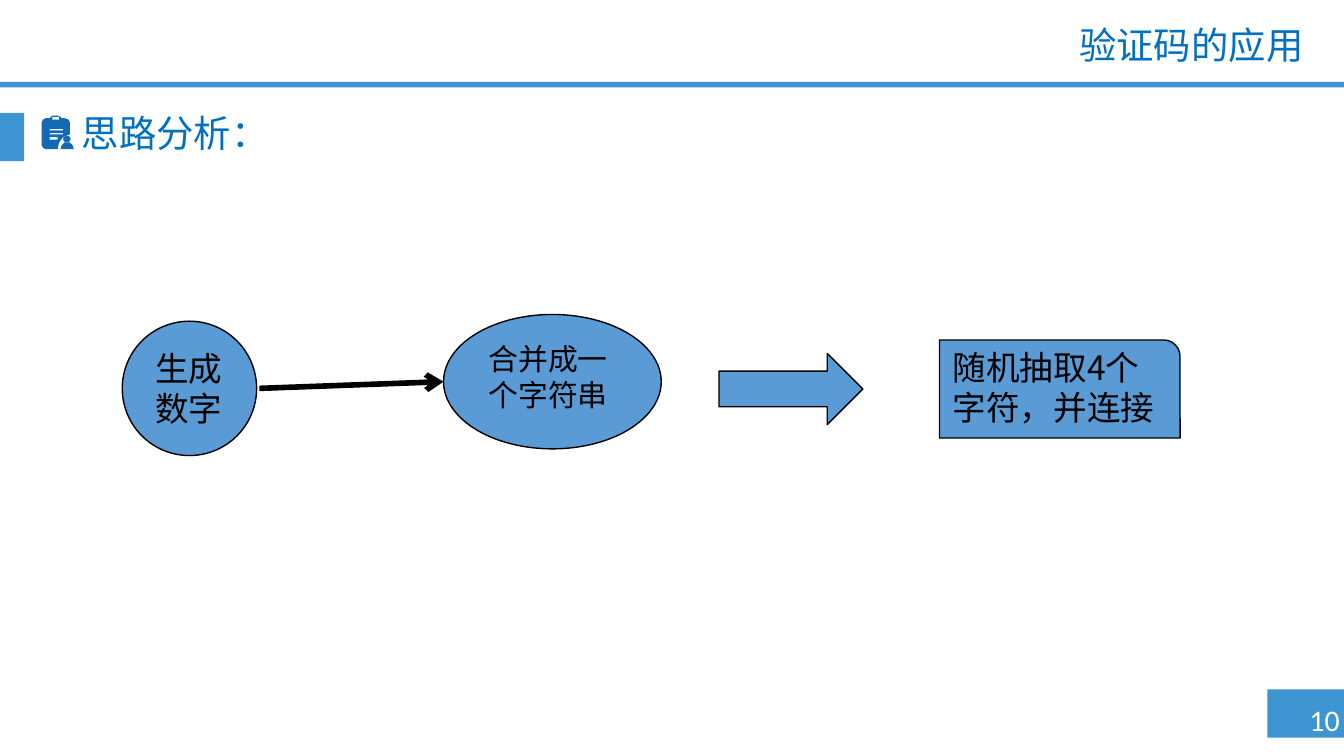
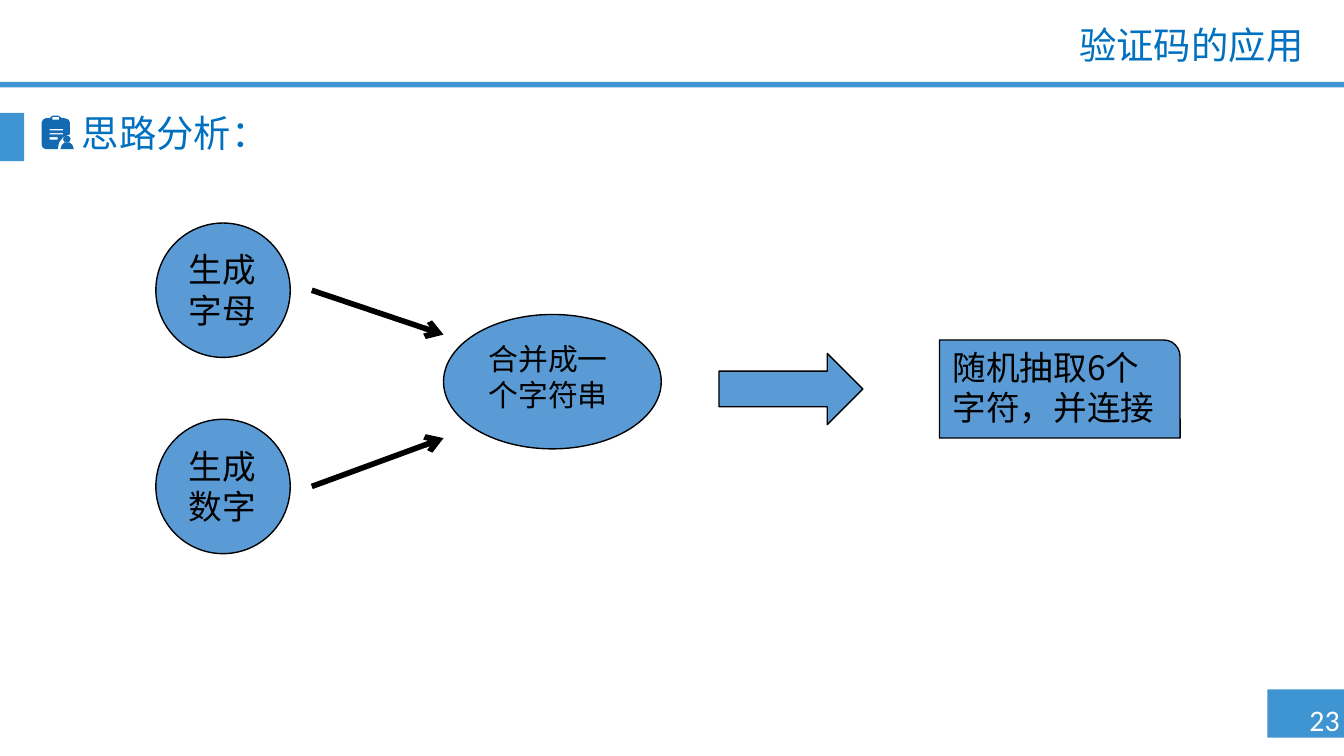
from lxml import etree
from pptx import Presentation
from pptx.dml.color import RGBColor
from pptx.enum.shapes import MSO_CONNECTOR, MSO_SHAPE
from pptx.enum.text import MSO_ANCHOR, MSO_AUTO_SIZE, PP_ALIGN
from pptx.oxml.ns import qn
from pptx.util import Inches, Pt

RECTANGLE = MSO_SHAPE.RECTANGLE
OVAL = MSO_SHAPE.OVAL
ROUND_CORNER = MSO_SHAPE.ROUND_1_RECTANGLE
RIGHT_ARROW = MSO_SHAPE.RIGHT_ARROW
STRAIGHT = MSO_CONNECTOR.STRAIGHT
LEFT, CENTER, RIGHT = PP_ALIGN.LEFT, PP_ALIGN.CENTER, PP_ALIGN.RIGHT
TOP, MIDDLE = MSO_ANCHOR.TOP, MSO_ANCHOR.MIDDLE
GROW = MSO_AUTO_SIZE.SHAPE_TO_FIT_TEXT

BAND_BLUE = RGBColor(0x3F, 0x95, 0xD2)
STEP_BLUE = RGBColor(0x5B, 0x9B, 0xD5)
TITLE_BLUE = RGBColor(0x00, 0x70, 0xC0)
ICON_BLUE = RGBColor(0x13, 0x6A, 0xB3)
BLACK = RGBColor(0x00, 0x00, 0x00)
WHITE = RGBColor(0xFF, 0xFF, 0xFF)

CJK_FONT = "Noto Sans CJK SC"
NUMBER_FONT = "Calibri"

WIDTH, HEIGHT = Inches(10), Inches(5.625)
COLUMN, ROW = WIDTH / 100, HEIGHT / 56.25

TITLE = "验证码的应用"
HEADING = "思路分析："
CIRCLE_SIZE = 10

CLIPBOARD = [(52, 100), (52, 91), (51, 89), (48, 88), (46, 88), (45, 87),
             (43, 86), (39, 86), (38, 87), (37, 88), (34, 88), (32, 89),
             (31, 91), (31, 108), (32, 110), (34, 111), (43, 111),
             (44, 106), (47, 102)]
CLIPBOARD_HOLES = [(39, 87, 44, 89), (37, 96, 47, 97),
                   (37, 99, 47, 100), (37, 102, 43, 104)]
SHOULDERS = [(45, 111), (46, 108), (48, 106), (50, 106),
             (52, 106), (54, 108), (55, 111)]


def place(left, top, width, height):
    return [round(length) for length in
            (left * COLUMN, top * ROW, width * COLUMN, height * ROW)]


def paint(shape, color, outlined=False):
    shape.shadow.inherit = False
    shape.fill.solid()
    shape.fill.fore_color.rgb = color
    if outlined:
        shape.line.color.rgb = BLACK
        shape.line.width = Pt(0.75)
    else:
        shape.line.fill.background()


def write(shape, text, size, color, align=LEFT, anchor=TOP, font_name=CJK_FONT):
    frame = shape.text_frame
    frame.vertical_anchor = anchor
    paragraph = frame.paragraphs[0]
    paragraph.alignment = align
    run = paragraph.add_run()
    run.text = text
    run.font.size = Pt(size)
    run.font.color.rgb = color
    run.font.name = font_name
    east_asian = etree.SubElement(run.font._element, qn("a:ea"))
    east_asian.set("typeface", font_name)
    return paragraph


def add_band(slide, *area):
    paint(slide.shapes.add_shape(RECTANGLE, *place(*area)), BAND_BLUE)


def add_text(slide, area, text, size, color, wrap=True, **style):
    box = slide.shapes.add_textbox(*place(*area))
    box.text_frame.word_wrap = wrap
    box.text_frame.auto_size = GROW
    write(box, text, size, color, **style)


def add_step(slide, kind, area, text="", size=18):
    step = slide.shapes.add_shape(kind, *place(*area))
    paint(step, STEP_BLUE, outlined=True)
    if text:
        step.text_frame.word_wrap = True
        write(step, text, size, BLACK)


def add_arrow(slide, start, end):
    arrow = slide.shapes.add_connector(STRAIGHT, *place(*start, *end))
    arrow.line.color.rgb = BLACK
    arrow.line.width = Pt(3)
    etree.SubElement(arrow.line._get_or_add_ln(), qn("a:tailEnd")).set("type", "arrow")
    etree.SubElement(arrow._element.spPr, qn("a:effectLst"))


def add_outline(shapes, points, holes=()):
    builder = shapes.build_freeform(*points[0], scale=COLUMN / 10)
    builder.add_line_segments(points[1:])
    for left, top, right, bottom in holes:
        builder.move_to(left, top)
        builder.add_line_segments([(left, bottom), (right, bottom), (right, top)])
    paint(builder.convert_to_shape(), ICON_BLUE)


def add_icon(slide):
    shapes = slide.shapes.add_group_shape().shapes
    add_outline(shapes, CLIPBOARD, CLIPBOARD_HOLES)
    paint(shapes.add_shape(OVAL, *place(4.7, 10.1, 0.55, 0.5)), ICON_BLUE)
    add_outline(shapes, SHOULDERS)


def add_title(slide):
    title = slide.shapes.title
    title.left, title.top, title.width, title.height = place(24, 1.5, 74, 4)
    title.text_frame.auto_size = GROW
    paragraph = write(title, TITLE, 20, TITLE_BLUE, RIGHT, MIDDLE)
    paragraph.line_spacing = 0.9


def add_frame(presentation, number):
    slide = presentation.slides.add_slide(presentation.slide_layouts[5])
    add_band(slide, 94.3, 51.3, 5.7, 3.6)
    add_band(slide, 0, 6.1, 100, 0.4)
    add_band(slide, 0, 8.4, 1.8, 3.6)
    add_text(slide, (96.2, 51.7, 5.2, 3.7), f"{number} ", 16, WHITE,
             wrap=False, align=CENTER, font_name=NUMBER_FONT)
    add_title(slide)
    add_text(slide, (5.1, 7.7, 24.5, 4.4), HEADING, 20, TITLE_BLUE)
    add_icon(slide)
    return slide


def add_flow_slide(presentation, number, sources, arrows, count):
    slide = add_frame(presentation, number)
    for text, left, top in sources:
        add_step(slide, OVAL, (left, top, CIRCLE_SIZE, CIRCLE_SIZE), text)
    add_step(slide, OVAL, (33, 23.4, 16.2, 10), "合并成一个字符串", 16)
    add_step(slide, RIGHT_ARROW, (53.5, 26.3, 10.7, 5.3))
    add_step(slide, ROUND_CORNER, (69.9, 25.3, 17.9, 7.3),
             f"随机抽取{count}个字符，并连接")
    for start, end in arrows:
        add_arrow(slide, start, end)


def main():
    presentation = Presentation()
    presentation.slide_width, presentation.slide_height = WIDTH, HEIGHT
    add_flow_slide(presentation, 10,
                   [("生成数字", 9.1, 23.9)],
                   [((19.3, 28.9), (33, 28.4))], 4)
    add_flow_slide(presentation, 23,
                   [("生成字母", 11.6, 16.6), ("生成数字", 11.6, 31.2)],
                   [((23.2, 36.2), (33, 32.6)), ((23.2, 21.6), (33, 24.9))], 6)
    presentation.save("out.pptx")


if __name__ == "__main__":
    main()
